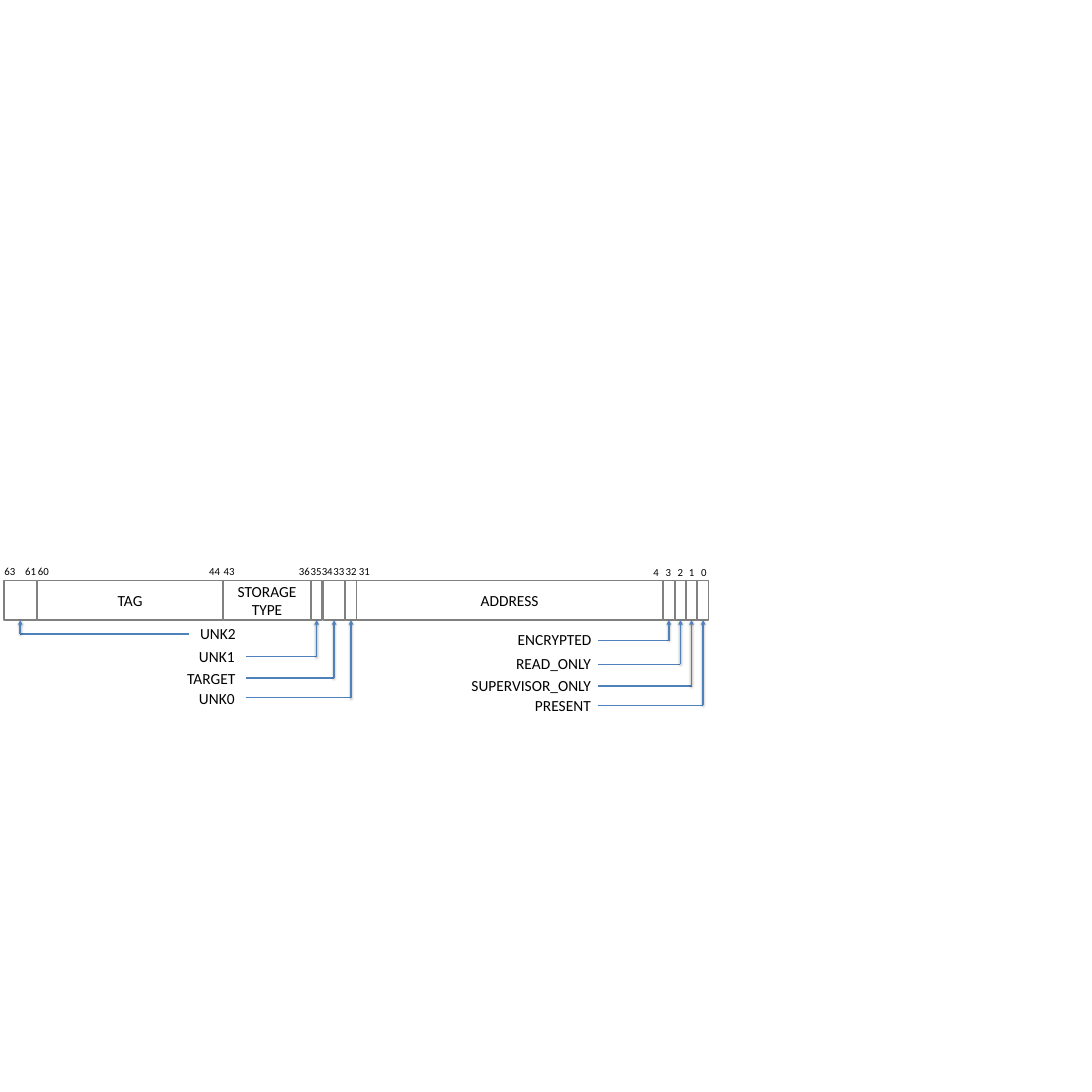
from pptx import Presentation, util as u
from pptx.dml.color import RGBColor
from pptx.enum import shapes, text
from pptx.oxml.ns import qn
from lxml import etree

# Register fields, high to low: text lines, left, width
FIELDS = {
    "63-61": ([], 0.07, 0.59),
    "60-44": (["TAG"], 0.67, 3.35),
    "43-36": (["STORAGE", "TYPE"], 4.03, 1.57),
    "35": ([], 5.61, 0.2),
    "34-33": ([], 5.83, 0.39),
    "32": ([], 6.23, 0.2),
    "31-4": (["ADDRESS"], 6.43, 5.52),
    "3": ([], 11.96, 0.2),
    "2": ([], 12.17, 0.2),
    "1": ([], 12.37, 0.2),
    "0": ([], 12.58, 0.2),
}
# Bit numbers: top of the row, then number and centre
BIT_ROWS = [
    (10.13, {"63": 0.18, "61": 0.55, "60": 0.78, "44": 3.87, "43": 4.13, "36": 5.49,
             "35": 5.7, "34": 5.9, "33": 6.11, "32": 6.33, "31": 6.57}),
    (10.16, {"4": 11.83, "3": 12.05, "2": 12.27, "1": 12.47, "0": 12.69}),
]
# Flags: name, field, centre and top of the name, start and height of the lead line
FLAGS = [
    ("UNK2", "63-61", 3.93, 11.21, 3.41, 11.43),
    ("UNK1", "35", 3.91, 11.62, 4.43, 11.84),
    ("TARGET", "34-33", 3.81, 12.02, 4.43, 12.23),
    ("UNK0", "32", 3.91, 12.38, 4.43, 12.58),
    ("ENCRYPTED", "3", 10, 11.32, 10.78, 11.55),
    ("READ_ONLY", "2", 9.98, 11.74, 10.78, 11.98),
    ("SUPERVISOR_ONLY", "1", 9.58, 12.14, 10.78, 12.37),
    ("PRESENT", "0", 10.15, 12.5, 10.78, 12.72),
]
FIELD_TOP, FIELD_HEIGHT = 10.47, 0.71
BIT_WIDTH, FLAG_WIDTH = 0.72, 2.61
GREY, BLUE, WHITE, BLACK = "808080", "4F81BD", "FFFFFF", "000000"

deck = Presentation()
deck.slide_width = deck.slide_height = u.Inches(19.69)
slide = deck.slides.add_slide(deck.slide_layouts[6])


def color(code):
    return RGBColor.from_string(code)


def write(frame, lines, size=20, anchor=text.MSO_ANCHOR.TOP):
    frame.word_wrap = True
    frame.vertical_anchor = anchor
    for number, line in enumerate(lines):
        paragraph = frame.add_paragraph() if number else frame.paragraphs[0]
        paragraph.text = line
        paragraph.alignment = text.PP_ALIGN.CENTER
        paragraph.font.size = u.Pt(size)
        paragraph.font.name = "Calibri"
        paragraph.font.color.rgb = color(BLACK)


def add_label(label, center, top, width, height, size):
    """Centre a one-line text box on a point, kept inside the slide's left edge."""
    half = min(width / 2, center)
    box = slide.shapes.add_textbox(u.Inches(center - half), u.Inches(top),
                                   u.Inches(2 * half), u.Inches(height))
    box.text_frame.margin_left = box.text_frame.margin_right = 0
    write(box.text_frame, [label], size=size)


def add_field(lines, left, width):
    field = slide.shapes.add_shape(shapes.MSO_SHAPE.RECTANGLE, u.Inches(left), u.Inches(FIELD_TOP),
                                   u.Inches(width), u.Inches(FIELD_HEIGHT))
    field.shadow.inherit = False
    field.fill.solid()
    field.fill.fore_color.rgb = color(WHITE)
    field.line.color.rgb = color(GREY)
    field.line.width = u.Pt(2)
    write(field.text_frame, lines, anchor=text.MSO_ANCHOR.MIDDLE)
    return field


def add_line(x1, y1, x2, y2):
    line = slide.shapes.add_connector(shapes.MSO_CONNECTOR.STRAIGHT, x1, y1, x2, y2)
    line.line.color.rgb = color(BLUE)
    line.line.width = u.Pt(2)
    return line


register = {bits: add_field(*field) for bits, field in FIELDS.items()}

for top, bits in BIT_ROWS:
    for bit, center in bits.items():
        add_label(bit, center, top, BIT_WIDTH, 0.33, 14)

for name, bits, center, top, start, height in FLAGS:
    add_label(name, center, top, FLAG_WIDTH, 0.43, 20)
    field = register[bits]
    bend, level = field.left + field.width // 2, u.Inches(height)
    lead = add_line(u.Inches(start), level, bend, level)
    etree.SubElement(lead._element.spPr, qn("a:effectLst"))
    arrow = add_line(bend, level, bend, field.top + field.height)
    arrow.end_connect(field, 2)
    etree.SubElement(arrow.get_or_add_ln(), qn("a:tailEnd"), type="triangle")

deck.save("out.pptx")
